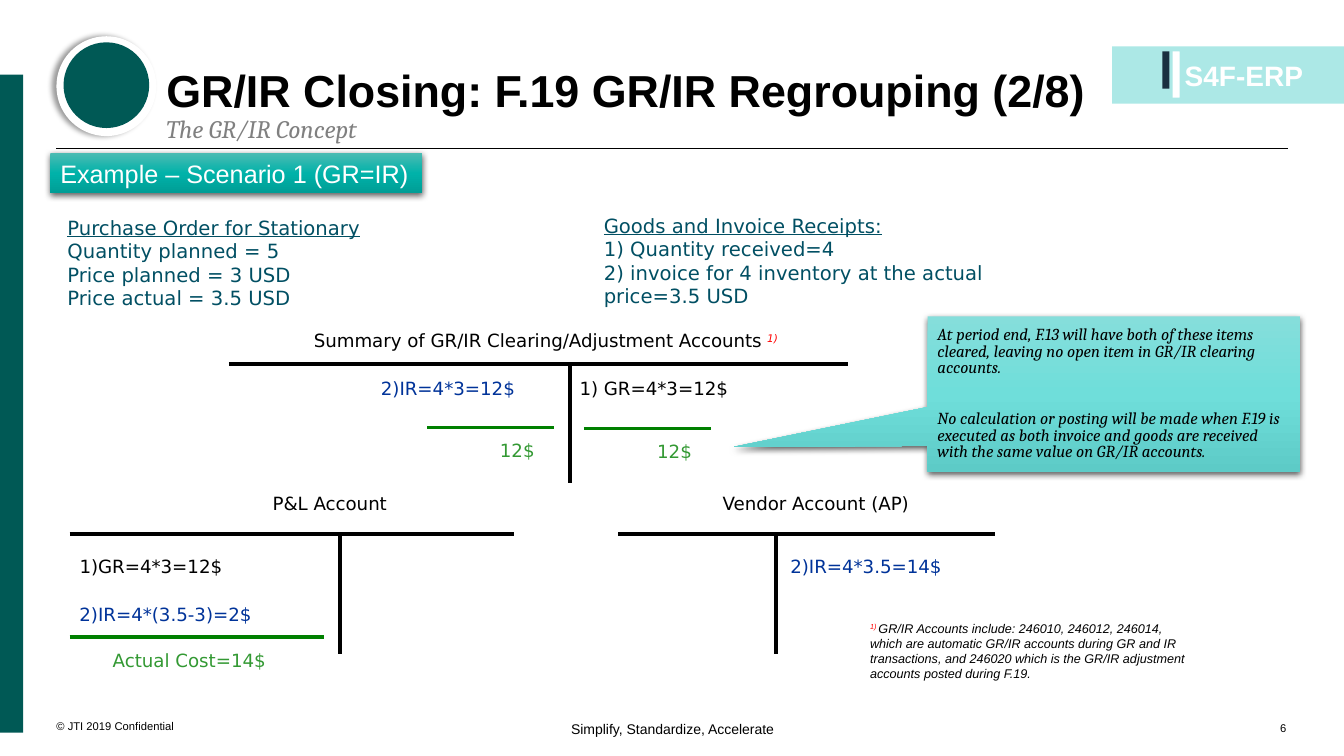
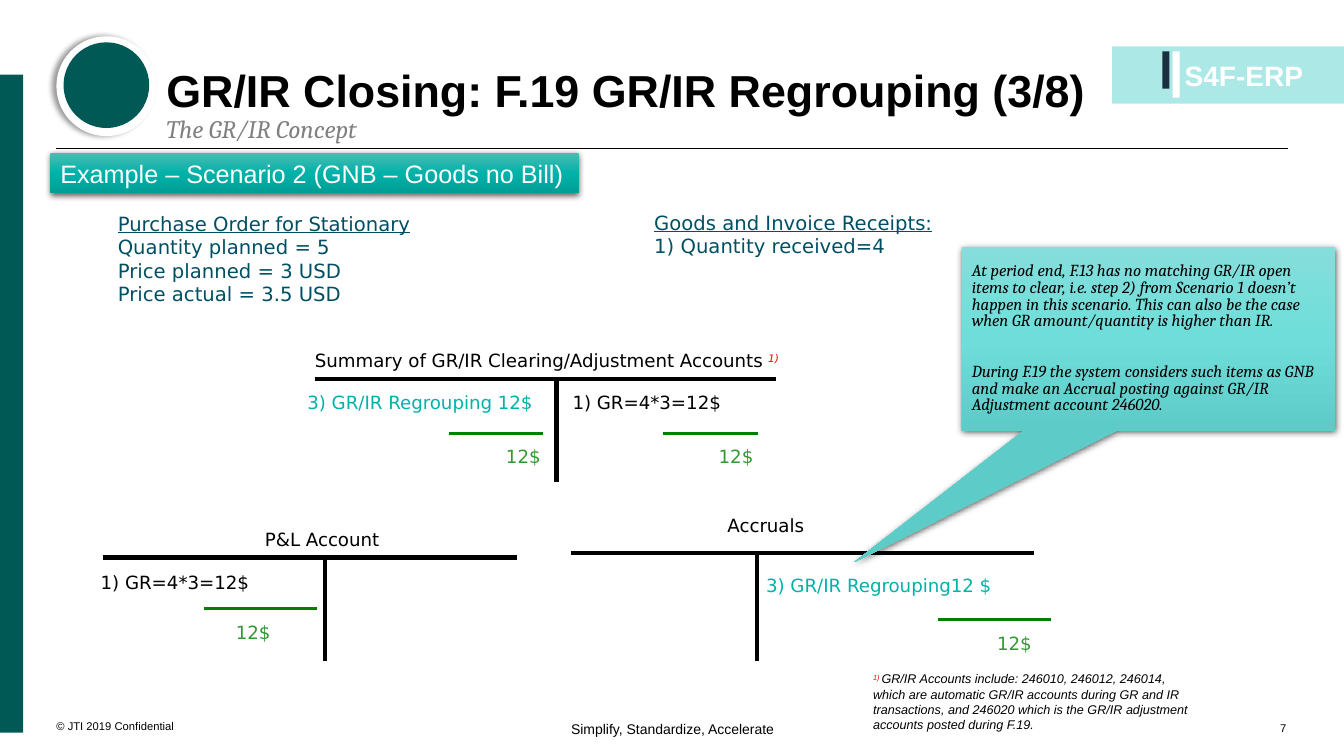
from lxml import etree
from pptx import Presentation
from pptx.dml.color import RGBColor
from pptx.enum.shapes import MSO_CONNECTOR, MSO_SHAPE
from pptx.enum.text import MSO_ANCHOR, PP_ALIGN
from pptx.oxml import parse_xml
from pptx.oxml.ns import nsdecls, qn
from pptx.util import Emu, Pt

PX = 9144
WIDTH, HEIGHT = 1333, 750

RECTANGLE = MSO_SHAPE.RECTANGLE
ROUNDED = MSO_SHAPE.ROUNDED_RECTANGLE
OVAL = MSO_SHAPE.OVAL
CALLOUT = MSO_SHAPE.RECTANGULAR_CALLOUT
STRAIGHT = MSO_CONNECTOR.STRAIGHT
TOP, MIDDLE, BOTTOM = MSO_ANCHOR.TOP, MSO_ANCHOR.MIDDLE, MSO_ANCHOR.BOTTOM
LEFT, CENTER, RIGHT = PP_ALIGN.LEFT, PP_ALIGN.CENTER, PP_ALIGN.RIGHT

BLACK = RGBColor(0x00, 0x00, 0x00)
WHITE = RGBColor(0xFF, 0xFF, 0xFF)
GRAY = RGBColor(0x80, 0x80, 0x80)
RED = RGBColor(0xFF, 0x00, 0x00)
NAVY = RGBColor(0x1A, 0x30, 0x40)
BLUE = RGBColor(0x00, 0x33, 0x99)
PETROL = RGBColor(0x01, 0x4F, 0x63)
DARK_TEAL = RGBColor(0x00, 0x59, 0x55)
TEAL = RGBColor(0x00, 0xB2, 0xA9)
PALE_TEAL = RGBColor(0xAC, 0xE8, 0xE6)
LINE_GREEN = RGBColor(0x00, 0x80, 0x00)
TEXT_GREEN = RGBColor(0x33, 0x99, 0x33)
BANNER_GRADIENT = (RGBColor(0x4B, 0xBB, 0xB3), TEAL, RGBColor(0x00, 0x9E, 0x96))
CALLOUT_GRADIENT = (RGBColor(0x85, 0xDE, 0xDB), RGBColor(0x6F, 0xDE, 0xDA),
                    RGBColor(0x5D, 0xCB, 0xC7))

SANS, SERIF, WIDE = "Arial", "Cambria", "DejaVu Sans"
ORDER = ("Purchase Order for Stationary", "Quantity planned = 5",
         "Price planned = 3 USD", "Price actual = 3.5 USD")
RECEIPTS = ("Goods and Invoice Receipts:", "1) Quantity received=4")
FOOTNOTE = ("GR/IR Accounts include: 246010, 246012, 246014, which are automatic "
            "GR/IR accounts during GR and IR transactions, and 246020 which is the "
            "GR/IR adjustment accounts posted during F.19.")


def px(*lengths):
    return [Emu(length * PX) for length in lengths]


def write(frame, text, size=13, font=WIDE, color=BLACK, bold=False, italic=False,
          underline=False, raised=False, align=LEFT, spacing=None, before=0,
          same_line=False):
    paragraph = frame.paragraphs[-1]
    if paragraph.runs and not same_line:
        paragraph = frame.add_paragraph()
    if not same_line:
        paragraph.alignment = align
        paragraph.line_spacing = spacing
        paragraph.space_before = Pt(before)
    run = paragraph.add_run()
    run.text = text
    run.font.size = Pt(size)
    run.font.name = font
    run.font.color.rgb = color
    run.font.bold = bold
    run.font.italic = italic
    run.font.underline = underline
    if raised:
        run.font._element.set("baseline", "30000")


class Deck:
    def __init__(self):
        self.presentation = Presentation()
        self.presentation.slide_width, self.presentation.slide_height = px(WIDTH, HEIGHT)
        self.slide = None

    def frame(self, left, top, width, height=32, anchor=TOP, inset=True):
        frame = self.slide.shapes.add_textbox(*px(left, top, width, height)).text_frame
        frame.word_wrap = True
        frame.vertical_anchor = anchor
        if not inset:
            frame.margin_left = frame.margin_right = 0
            frame.margin_top = frame.margin_bottom = 0
        return frame

    def label(self, text, left, top, width, **style):
        frame = self.frame(left, top, width)
        write(frame, text, **style)
        return frame

    def shape(self, kind, left, top, width, height, fill, adjustments=()):
        shape = self.slide.shapes.add_shape(kind, *px(left, top, width, height))
        for index, value in enumerate(adjustments):
            shape.adjustments[index] = value
        shape.line.fill.background()
        shape.shadow.inherit = False
        if isinstance(fill, RGBColor):
            shape.fill.solid()
            shape.fill.fore_color.rgb = fill
        else:
            self.gradient(shape, fill)
        return shape

    def gradient(self, shape, colors):
        stops = "".join(
            f'<a:gs pos="{index * 50000}"><a:srgbClr val="{color}"/></a:gs>'
            for index, color in enumerate(colors))
        shape.fill.background()
        properties = shape._element.spPr
        properties.replace(properties.find(qn("a:noFill")), parse_xml(
            f'<a:gradFill {nsdecls("a")} rotWithShape="1"><a:gsLst>{stops}</a:gsLst>'
            '<a:lin ang="5400000" scaled="0"/></a:gradFill>'))

    def shadow(self, shape, opacity=63, blur=4.5, distance=1.5, angle=90):
        effects = shape._element.spPr.find(qn("a:effectLst"))
        effects.append(parse_xml(
            f'<a:outerShdw {nsdecls("a")} blurRad="{Pt(blur)}" dist="{Pt(distance)}" '
            f'dir="{angle * 60000}" algn="ctr" rotWithShape="0"><a:srgbClr val="{BLACK}">'
            f'<a:alpha val="{opacity * 1000}"/></a:srgbClr></a:outerShdw>'))

    def line(self, x1, y1, x2, y2, color=BLACK, weight=3):
        line = self.slide.shapes.add_connector(STRAIGHT, *px(x1, y1, x2, y2))
        line.line.color.rgb = color
        line.line.width = Pt(weight)
        etree.SubElement(line._element.spPr, qn("a:effectLst"))

    def new_slide(self, number, part, scenario, banner_width):
        self.slide = self.presentation.slides.add_slide(self.presentation.slide_layouts[6])
        self.footer(number)
        self.badge()
        self.line(56, 147, 1277, 147, weight=0.75)
        self.shape(RECTANGLE, 0, 74, 23, 653, DARK_TEAL)
        ring = self.shape(OVAL, 56, 36, 99, 99, WHITE)
        self.shadow(ring, opacity=40, blur=4, distance=3, angle=180)
        self.shape(OVAL, 63, 42, 85, 85, DARK_TEAL)
        title = self.frame(165, 35, 974, 108, anchor=BOTTOM, inset=False)
        write(title, f"GR/IR Closing: F.19 GR/IR Regrouping ({part}/8)",
              size=32, font=SANS, bold=True, spacing=0.9)
        write(title, "The GR/IR Concept", size=18, font=SERIF, color=GRAY,
              italic=True, spacing=0.9)
        banner = self.shape(RECTANGLE, 50, 152, banner_width, 40, BANNER_GRADIENT)
        self.shadow(banner)
        write(banner.text_frame, f"Example – {scenario}", size=18, font=SANS, color=WHITE)

    def footer(self, number):
        notice = self.frame(56, 687, 197, 40, anchor=BOTTOM, inset=False)
        write(notice, "© JTI 2019 Confidential", size=8, font=SANS)
        motto = self.frame(514, 715, 306, 30, inset=False)
        write(motto, "Simplify, Standardize, Accelerate", size=10, font=SANS, align=CENTER)
        page = self.frame(1233, 689, 43, 40, anchor=BOTTOM, inset=False)
        write(page, str(number), size=8, font=SANS, align=RIGHT)

    def badge(self):
        self.shape(RECTANGLE, 1103, 46, 230, 57, PALE_TEAL)
        self.shape(RECTANGLE, 1153, 51, 7, 37, NAVY)
        self.shape(ROUNDED, 1163, 51, 7, 46, WHITE, adjustments=(0.07,))
        name = self.frame(1175, 58, 125, 50, inset=False)
        write(name, "S4F-ERP", size=20, font=SANS, color=WHITE, bold=True)

    def facts(self, lines, left, top, width):
        frame = self.frame(left, top, width, 24 * len(lines) + 10)
        for index, text in enumerate(lines):
            write(frame, text, size=14, color=PETROL, underline=index == 0)

    def account(self, left, right, top, stem, bottom):
        self.line(left, top, right, top)
        self.line(stem, top, stem, bottom)

    def summary_title(self, left, top, width):
        frame = self.label("Summary of GR/IR Clearing/Adjustment Accounts ",
                           left, top, width, align=CENTER)
        write(frame, "1)", color=RED, italic=True, raised=True, same_line=True)

    def total(self, text, left, right, top, text_left, width=102):
        self.line(left, top, right, top, LINE_GREEN, 2.25)
        self.label(text, text_left, top + 7, width, color=TEXT_GREEN)

    def callout(self, left, top, height, tail, paragraphs):
        shape = self.shape(CALLOUT, left, top, 370, height, CALLOUT_GRADIENT, tail)
        self.shadow(shape)
        frame = shape.text_frame
        frame.word_wrap = True
        frame.vertical_anchor = MIDDLE
        for index, text in enumerate(paragraphs):
            write(frame, text, size=12, font=SERIF, italic=True,
                  spacing=Pt(12), before=24 * index)

    def footnote(self, left, top):
        frame = self.frame(left, top, 320, 70, inset=False)
        write(frame, "1) ", size=9, font=SANS, color=RED, italic=True, raised=True)
        write(frame, FOOTNOTE, size=9, font=SANS, italic=True, same_line=True)


def goods_equal_invoice(deck):
    deck.new_slide(6, 2, "Scenario 1 (GR=IR)", 369)
    deck.facts(ORDER, 57, 209, 465)
    deck.facts(RECEIPTS + ("2) invoice for 4 inventory at the actual price=3.5 USD",),
               589, 207, 433)

    deck.summary_title(266, 322, 551)
    deck.account(227, 841, 361, 565, 479)
    deck.label("2)IR=4*3=12$", 368, 369, 220, color=BLUE)
    deck.label("1) GR=4*3=12$", 565, 369, 220)
    deck.total("12$", 424, 549, 424, 486)
    deck.total("12$", 579, 705, 425, 642)

    deck.label("P&L Account", 146, 483, 362, align=CENTER)
    deck.account(69, 510, 530, 337, 649)
    deck.label("1)GR=4*3=12$", 69, 546, 205)
    deck.label("2)IR=4*(3.5-3)=2$", 69, 594, 276, color=BLUE)
    deck.total("Actual Cost=14$", 69, 321, 632, 102, 213)

    deck.label("Vendor Account (AP)", 628, 483, 362, align=CENTER)
    deck.account(613, 987, 530, 770, 649)
    deck.label("2)IR=4*3.5=14$", 774, 546, 240, color=BLUE)

    deck.callout(920, 314, 154, (-1.02, 0.34), (
        "At period end, F.13 will have both of these items cleared, leaving no open "
        "item in GR/IR clearing accounts.",
        "No calculation or posting will be made when F.19 is executed as both invoice "
        "and goods are received with the same value on GR/IR accounts."))
    deck.footnote(863, 616)


def goods_no_bill(deck):
    deck.new_slide(7, 3, "Scenario 2 (GNB – Goods no Bill)", 524)
    deck.facts(ORDER, 107, 205, 465)
    deck.facts(RECEIPTS, 639, 204, 433)

    deck.summary_title(288, 342, 509)
    deck.account(312, 770, 376, 552, 478)
    deck.label("3) GR/IR Regrouping 12$", 295, 383, 305, color=TEAL)
    deck.label("1) GR=4*3=12$", 558, 383, 212)
    deck.total("12$", 445, 539, 430, 492)
    deck.total("12$", 658, 752, 430, 703)

    deck.label("P&L Account", 158, 519, 323, align=CENTER)
    deck.account(102, 513, 553, 322, 656)
    deck.label("1) GR=4*3=12$", 90, 562, 225)
    deck.total("12$", 202, 314, 604, 224)

    deck.label("Accruals", 540, 505, 439, align=CENTER)
    deck.account(566, 1026, 549, 751, 656)
    deck.label("3) GR/IR Regrouping12 $", 750, 565, 312, color=TEAL)
    deck.total("12$", 930, 1042, 615, 979)

    deck.callout(954, 245, 182, (-0.79, 1.22), (
        "At period end, F.13 has no matching GR/IR open items to clear, i.e. step 2) "
        "from Scenario 1 doesn’t happen in this scenario. This can also be the case "
        "when GR amount/quantity is higher than IR.",
        "During F.19 the system considers such items as GNB and make an Accrual "
        "posting against GR/IR Adjustment account 246020."))
    deck.footnote(866, 666)


def main():
    deck = Deck()
    goods_equal_invoice(deck)
    goods_no_bill(deck)
    deck.presentation.save("out.pptx")


if __name__ == "__main__":
    main()
